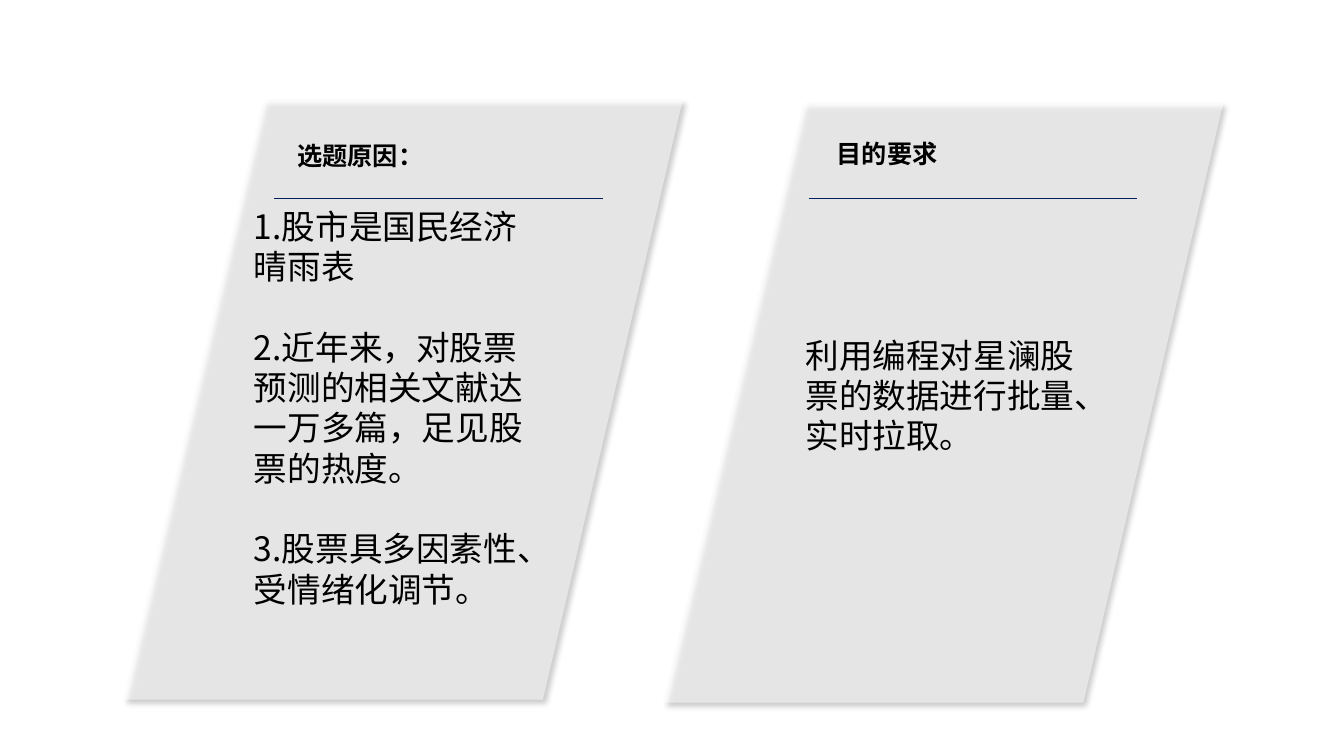
from dataclasses import dataclass

import pptx
import pptx.dml.color
import pptx.enum.shapes
import pptx.enum.text
import pptx.oxml
import pptx.oxml.ns
import pptx.util
from lxml import etree

Inches = pptx.util.Inches
Pt = pptx.util.Pt
qn = pptx.oxml.ns.qn

FONT = "Noto Sans CJK SC"
NS = 'xmlns:a="http://schemas.openxmlformats.org/drawingml/2006/main"'
SHADOW = (
    f'<a:effectLst {NS}><a:outerShdw blurRad="{Pt(4)}" dist="{Pt(3)}" '
    'dir="2700000" algn="tl" rotWithShape="0"><a:srgbClr val="000000">'
    '<a:alpha val="40000"/></a:srgbClr></a:outerShdw></a:effectLst>'
)
LINE_HEIGHT = 1.2
PANEL_SIZE = (5.54, 5.94)
RULE_Y, RULE_LENGTH = 1.97, 3.26


@dataclass
class TextSpec:
    left: float
    top: float
    width: float
    height: float
    paragraphs: list[str]


@dataclass
class Panel:
    left: float
    top: float
    rule_left: float
    title: TextSpec
    body: TextSpec


PANELS = [
    Panel(1.23, 1.0, 2.72,
          TextSpec(2.85, 1.32, 1.45, 0.42, ["选题原因："]),
          TextSpec(2.42, 1.97, 2.97, 4.59, [
              "1.股市是国民经济晴雨表",
              "2.近年来，对股票预测的相关文献达一万多篇，足见股票的热度。",
              "3.股票具多因素性、受情绪化调节。",
          ])),
    Panel(6.59, 1.03, 8.02,
          TextSpec(8.2, 1.3, 1.2, 0.42, ["目的要求"]),
          TextSpec(7.89, 3.25, 2.95, 1.3,
                   ["利用编程对星澜股票的数据进行批量、实时拉取。"])),
]
TITLE_FORMAT = {"size": Pt(18), "bold": True, "name": FONT}
BODY_FORMAT = {"size": Pt(24), "name": FONT}


def rgb(value: str) -> pptx.dml.color.RGBColor:
    return pptx.dml.color.RGBColor.from_string(value)


def add_panel_shape(s, panel: Panel) -> None:
    sp = s.shapes.add_shape(
        pptx.enum.shapes.MSO_SHAPE.PARALLELOGRAM,
        *map(Inches, (panel.left, panel.top, *PANEL_SIZE)))
    sp.fill.solid()
    sp.fill.fore_color.rgb = rgb("FFFFFF")
    sp.line.fill.background()
    sp_pr = sp._element.spPr
    color = sp_pr.find(qn("a:solidFill")).find(qn("a:srgbClr"))
    etree.SubElement(color, qn("a:alpha"), val="50000")
    sp_pr.append(pptx.oxml.parse_xml(SHADOW))


def add_rule(s, left: float) -> None:
    line = s.shapes.add_connector(
        pptx.enum.shapes.MSO_CONNECTOR.STRAIGHT,
        *map(Inches, (left, RULE_Y, left + RULE_LENGTH, RULE_Y)))
    line.line.color.rgb = rgb("002060")
    line.line.width = Pt(1.25)
    etree.SubElement(line._element.spPr, qn("a:effectLst"))


def add_text(s, spec: TextSpec, font_format: dict, wrap: bool) -> None:
    box = s.shapes.add_textbox(
        *map(Inches, (spec.left, spec.top, spec.width, spec.height)))
    tf = box.text_frame
    tf.word_wrap = wrap
    tf.auto_size = pptx.enum.text.MSO_AUTO_SIZE.SHAPE_TO_FIT_TEXT
    tf.margin_top = Inches(0.07)
    pitch = Pt(font_format["size"].pt * LINE_HEIGHT)
    for i, text in enumerate(spec.paragraphs):
        p = tf.add_paragraph() if i else tf.paragraphs[0]
        p.line_spacing = pitch
        if i:
            p.space_before = pitch
        r = p.add_run()
        r.text = text
        for name, value in font_format.items():
            setattr(r.font, name, value)
        r.font.color.rgb = rgb("000000")
        etree.SubElement(r._r.get_or_add_rPr(), qn("a:ea"), typeface=FONT)


def main() -> None:
    prs = pptx.Presentation()
    prs.slide_width, prs.slide_height = Inches(13.33), Inches(7.5)
    s = prs.slides.add_slide(prs.slide_layouts[6])
    for panel in PANELS:
        add_panel_shape(s, panel)
    for panel in PANELS:
        add_rule(s, panel.rule_left)
    for panel in PANELS:
        add_text(s, panel.title, TITLE_FORMAT, wrap=False)
    for panel in PANELS:
        add_text(s, panel.body, BODY_FORMAT, wrap=True)
    prs.save("out.pptx")


if __name__ == "__main__":
    main()
